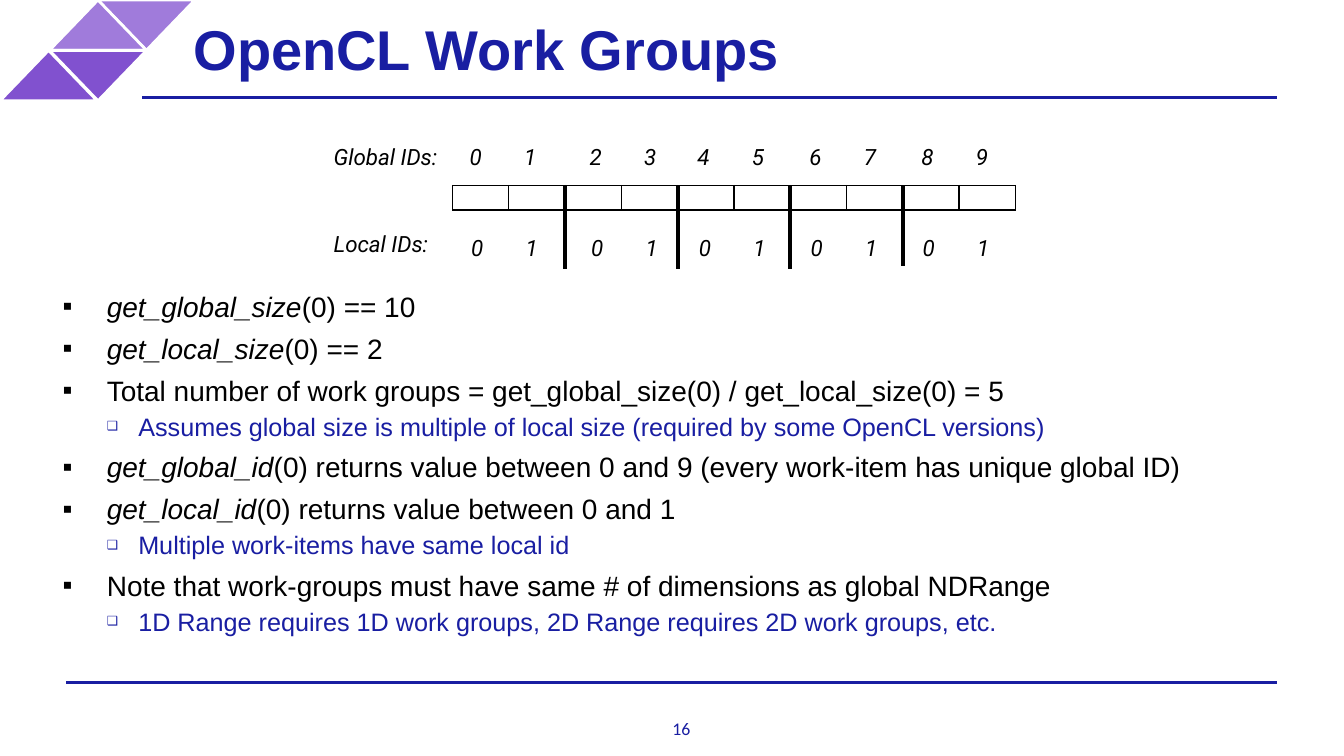
from dataclasses import dataclass
from typing import NamedTuple

import lxml.etree
import pptx
import pptx.dml.color
import pptx.enum.shapes
import pptx.enum.text
import pptx.oxml.ns
import pptx.util

Pt = pptx.util.Pt
Color = pptx.dml.color.RGBColor
Anchor = pptx.enum.text.MSO_ANCHOR
Align = pptx.enum.text.PP_ALIGN
qn = pptx.oxml.ns.qn


@dataclass(frozen=True)
class Theme:
    navy: Color = Color(0x19, 0x1E, 0xA2)
    light: Color = Color(0xA0, 0x7B, 0xDB)
    deep: Color = Color(0x81, 0x51, 0xCF)
    white: Color = Color(255, 255, 255)
    black: Color = Color(0, 0, 0)
    title: float = 40
    body: float = 20
    sub: float = 18
    label: float = 16
    number: float = 12.7
    cell: float = 8


class Rule(NamedTuple):
    x1: float
    y1: float
    x2: float
    y2: float
    color: Color
    width: float


class Wedge(NamedTuple):
    left: float
    top: float
    turn: float
    color: Color


class Label(NamedTuple):
    text: str
    left: float
    top: float
    width: float
    height: float
    inset: float
    size: float
    font: str
    color: Color
    bold: bool = False
    slant: bool = False
    anchor: Anchor = Anchor.MIDDLE
    align: Align = Align.LEFT


class Level(NamedTuple):
    margin: float
    indent: float
    before: float
    mark: str
    scale: int
    size: float
    color: Color


class Point(NamedTuple):
    level: int
    code: str
    text: str


theme = Theme()
LEVELS = [
    Level(36, -31.5, 6, "▪", 100, theme.body, theme.black),
    Level(58.5, -22.5, 3, "❑", 50, theme.sub, theme.navy),
]
POINTS = [
    Point(0, "get_global_size", "(0) == 10"),
    Point(0, "get_local_size", "(0) == 2"),
    Point(0, "", "Total number of work groups = get_global_size(0) / get_local_size(0) = 5"),
    Point(1, "", "Assumes global size is multiple of local size (required by some OpenCL versions)"),
    Point(0, "get_global_id", "(0) returns value between 0 and 9 (every work-item has unique global ID)"),
    Point(0, "get_local_id", "(0) returns value between 0 and 1"),
    Point(1, "", "Multiple work-items have same local id"),
    Point(0, "", "Note that work-groups must have same # of dimensions as global NDRange"),
    Point(1, "", "1D Range requires 1D work groups, 2D Range requires 2D work groups, etc."),
]
GROUP = 2
PAIRS = [331.2, 416.9, 493.9, 573.8, 653.8]
STEP = 38.9
ITEMS = GROUP * len(PAIRS)
LEFT, TOP, CELL, ROW = 323.3, 132.4, 40.2, 17.6


def draw_rule(slide, rule: Rule) -> None:
    line = slide.shapes.add_connector(
        pptx.enum.shapes.MSO_CONNECTOR.STRAIGHT,
        Pt(rule.x1), Pt(rule.y1), Pt(rule.x2), Pt(rule.y2))
    line.line.color.rgb = rule.color
    line.line.width = Pt(rule.width)
    lxml.etree.SubElement(line._element.spPr, qn("a:effectLst"))


def draw_wedge(slide, wedge: Wedge) -> None:
    shape = slide.shapes.add_shape(
        pptx.enum.shapes.MSO_SHAPE.ISOSCELES_TRIANGLE,
        Pt(wedge.left), Pt(wedge.top), Pt(69.4), Pt(36))
    shape.rotation = wedge.turn
    shape.shadow.inherit = False
    shape.fill.solid()
    shape.fill.fore_color.rgb = wedge.color
    shape.line.color.rgb = theme.white
    shape.line.width = Pt(2)


def add_frame(slide, left: float, top: float, width: float, height: float, inset: float):
    frame = slide.shapes.add_textbox(Pt(left), Pt(top), Pt(width), Pt(height)).text_frame
    frame.word_wrap = True
    frame.margin_left = frame.margin_right = Pt(inset)
    frame.margin_top = frame.margin_bottom = Pt(inset)
    return frame


def set_font(font, name: str, size: float, color: Color) -> None:
    font.name = name
    font.size = Pt(size)
    font.color.rgb = color


def draw_label(slide, label: Label) -> None:
    frame = add_frame(slide, label.left, label.top, label.width, label.height, label.inset)
    frame.vertical_anchor = label.anchor
    para = frame.paragraphs[0]
    para.text = label.text
    para.alignment = label.align
    set_font(para.font, label.font, label.size, label.color)
    para.font.bold = label.bold
    para.font.italic = label.slant


def draw_id(slide, text: str, left: float, top: float, width: float = 50.4) -> None:
    draw_label(slide, Label(text, left, top, width, 27.4, 4.3,
                            theme.label, "Roboto", theme.black, slant=True))


def draw_points(slide, points: list[Point]) -> None:
    frame = add_frame(slide, 40.3, 206.6, 878.4, 108.7, 0)
    for index, point in enumerate(points):
        para = frame.add_paragraph() if index else frame.paragraphs[0]
        level = LEVELS[point.level]
        para.level = point.level
        para.space_before = Pt(level.before)
        props = para._p.get_or_add_pPr()
        props.set("marL", str(Pt(level.margin)))
        props.set("indent", str(Pt(level.indent)))
        lxml.etree.SubElement(props, qn("a:buSzPct"), val=str(level.scale * 1000))
        lxml.etree.SubElement(props, qn("a:buFont"), typeface="Arial")
        lxml.etree.SubElement(props, qn("a:buChar"), char=level.mark)
        set_font(para.font, "Arial", level.size, level.color)
        if point.code:
            code = para.add_run()
            code.text = point.code
            code.font.italic = True
        para.add_run().text = point.text


def draw_cells(slide) -> None:
    table = slide.shapes.add_table(
        1, ITEMS, Pt(LEFT), Pt(TOP), Pt(CELL * ITEMS), Pt(ROW)).table
    table.first_row = table.horz_banding = False
    for column in table.columns:
        column.width = Pt(CELL)
    for cell in table.iter_cells():
        cell.margin_left = cell.margin_right = cell.margin_top = cell.margin_bottom = 0
        cell.fill.background()
        props = cell._tc.get_or_add_tcPr()
        for place, side in enumerate(("lnL", "lnR", "lnT", "lnB")):
            edge = lxml.etree.Element(qn(f"a:{side}"), w=str(Pt(1)))
            fill = lxml.etree.SubElement(edge, qn("a:solidFill"))
            lxml.etree.SubElement(fill, qn("a:srgbClr"), val=str(theme.black))
            props.insert(place, edge)
        para = cell.text_frame.paragraphs[0]._p
        lxml.etree.SubElement(para, qn("a:endParaRPr"), sz=str(int(theme.cell * 100)))


def main() -> None:
    """Build the work groups slide and save it."""
    deck = pptx.Presentation()
    deck.slide_width, deck.slide_height = Pt(960), Pt(540)
    slide = deck.slides.add_slide(deck.slide_layouts[6])
    draw_rule(slide, Rule(47.5, 487.4, 912.2, 487.4, theme.navy, 2))
    for wedge in (Wedge(69.8, 0, 180, theme.light), Wedge(35.3, 0, 0, theme.light),
                  Wedge(35.3, 36, 180, theme.deep), Wedge(0, 36, 0, theme.deep)):
        draw_wedge(slide, wedge)
    draw_rule(slide, Rule(101.5, 69.8, 912.2, 69.8, theme.navy, 2))
    draw_label(slide, Label("OpenCL Work Groups", 128.2, 0, 575.3, 68.4, 10.1,
                            theme.title, "Arial", theme.navy, bold=True))
    draw_label(slide, Label("16", 476.6, 512.6, 20.2, 43.9, 0, theme.number, "Calibri",
                            theme.navy, anchor=Anchor.TOP, align=Align.CENTER))
    draw_points(slide, POINTS)
    draw_cells(slide)
    for group in range(1, len(PAIRS)):
        x = LEFT + group * GROUP * CELL
        end = 190.1 if group == len(PAIRS) - 1 else 192.2
        draw_rule(slide, Rule(x, TOP, x, end, theme.black, 3))
    for item in range(ITEMS):
        group, local = divmod(item, GROUP)
        left = PAIRS[group] + local * STEP
        draw_id(slide, str(item), left, 97.9)
        draw_id(slide, str(local), left + 1, 163.4)
    draw_id(slide, "Global IDs:", 234, 97.9, 145.4)
    draw_id(slide, "Local IDs:", 234, 160.6, 145.4)
    deck.save("out.pptx")


main()
